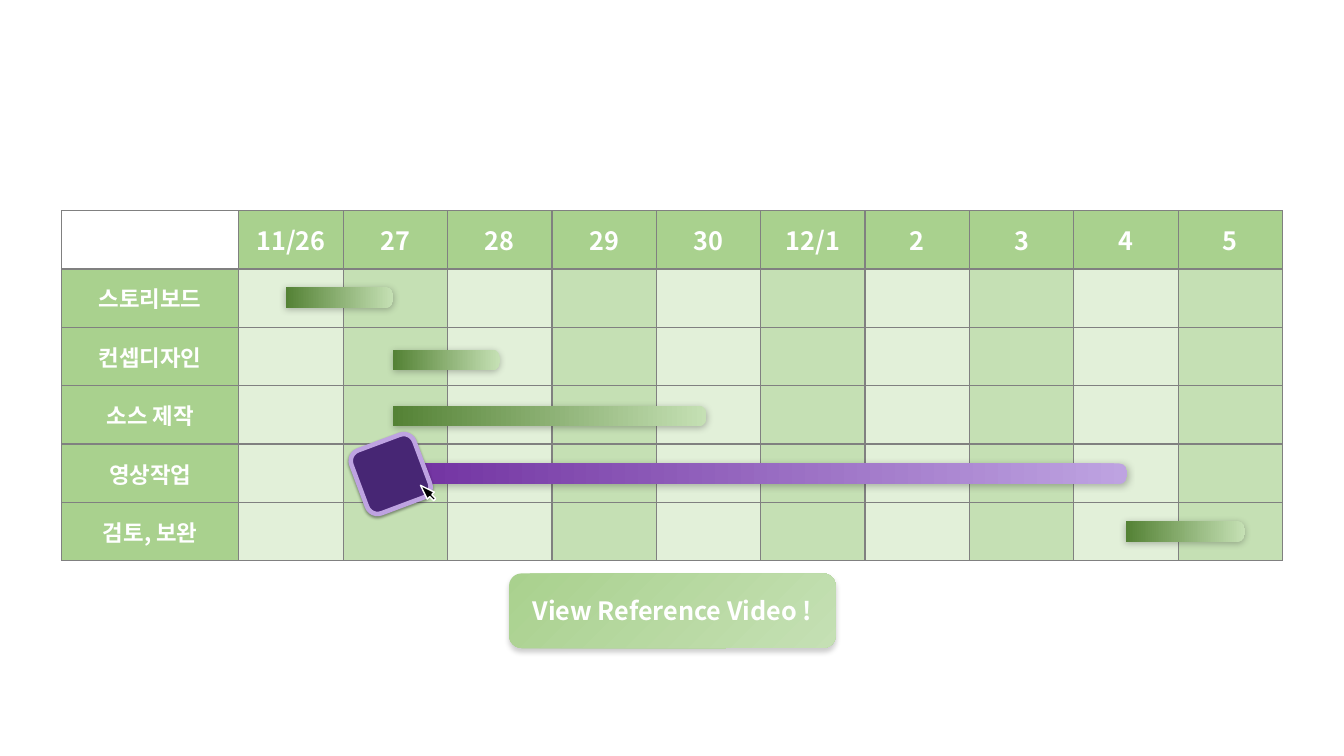
from pptx import Presentation
from pptx import util as u
from pptx.dml.color import RGBColor
from pptx.enum import shapes, text
from pptx.oxml import parse_xml
from pptx.oxml.ns import nsdecls, qn

WHITE = RGBColor(0xFF, 0xFF, 0xFF)
BLACK = RGBColor(0, 0, 0)
HEAD = RGBColor(0xA9, 0xD1, 0x8E)
MID = RGBColor(0xC5, 0xE0, 0xB4)
PALE = RGBColor(0xE2, 0xF0, 0xD9)
GREEN = RGBColor(0x54, 0x82, 0x35)
LILAC = RGBColor(0xBE, 0xA3, 0xE1)
PURPLE = RGBColor(0x70, 0x30, 0xA0)
PLUM = RGBColor(0x47, 0x26, 0x74)
GREY = RGBColor(0x80, 0x80, 0x80)
DARK = RGBColor(0x26, 0x26, 0x26)

FONT = "Noto Sans CJK KR"
LABEL, DAY, ROW, BAR = 4.47, 2.63, 1.47, 0.52
DAYS = ["11/26", "27", "28", "29", "30", "12/1", "2", "3", "4", "5"]
TASKS = ["스토리보드", "컨셉디자인", "소스 제작", "영상작업", "검토, 보완"]
SPANS = [
    (0.45, 1.48, 1.49, MID, GREEN),
    (1.48, 2.5, 2.56, MID, GREEN),
    (1.48, 4.48, 3.52, MID, GREEN),
    (1.48, 8.51, 4.51, LILAC, PURPLE),
    (8.5, 9.64, 5.5, MID, GREEN),
]


def write(frame, words, size):
    """Put one centred bold white line into a text frame."""
    frame.text = words
    para = frame.paragraphs[0]
    para.alignment = text.PP_ALIGN.CENTER
    font = para.runs[0].font
    font.name, font.size, font.bold = FONT, u.Pt(size), True
    font.color.rgb = WHITE
    font._element.append(parse_xml(f'<a:ea {nsdecls("a")} typeface="{FONT}"/>'))


def edge(cell):
    """Rule all four sides of a table cell."""
    props = cell._tc.get_or_add_tcPr()
    for spot, side in enumerate("LRTB"):
        props.insert(spot, parse_xml(
            f'<a:ln{side} {nsdecls("a")} w="12700"><a:solidFill>'
            f'<a:srgbClr val="{GREY}"/></a:solidFill></a:ln{side}>'))


def shade(shape, color, alpha, blur, dist):
    """Cast a soft shadow downwards from a shape."""
    shape.shadow.inherit = False
    glow = shape._element.spPr.find(qn("a:effectLst"))
    glow.append(parse_xml(
        f'<a:outerShdw {nsdecls("a")} blurRad="{u.Pt(blur)}" dist="{u.Pt(dist)}" '
        f'dir="5400000" algn="t" rotWithShape="0"><a:srgbClr val="{color}">'
        f'<a:alpha val="{alpha * 1000}"/></a:srgbClr></a:outerShdw>'))


def blend(shape, first, last):
    """Fill a shape with a gradient from its top to its bottom."""
    shape.fill.gradient()
    shape.fill.gradient_angle = 270
    for stop, color in zip(shape.fill.gradient_stops, (first, last)):
        stop.color.rgb = color
    shape.line.fill.background()


def add(slide, kind, left, top, wide, high):
    """Add a preset shape, measured in centimetres."""
    return slide.shapes.add_shape(kind, *map(u.Cm, (left, top, wide, high)))


def grid(slide, left, top):
    """Draw the calendar table."""
    rows, cols = len(TASKS) + 1, len(DAYS) + 1
    table = slide.shapes.add_table(
        rows, cols, u.Cm(left), u.Cm(top),
        u.Cm(LABEL + DAY * len(DAYS)), u.Cm(ROW * rows)).table
    table.first_row = table.horz_banding = False
    for c, column in enumerate(table.columns):
        column.width = u.Cm(DAY if c else LABEL)
    for r, row in enumerate(table.rows):
        row.height = u.Cm(ROW)
        for c, cell in enumerate(row.cells):
            color = (PALE if c % 2 else MID) if r and c else HEAD if r or c else WHITE
            cell.fill.solid()
            cell.fill.fore_color.rgb = color
            cell.vertical_anchor = text.MSO_ANCHOR.MIDDLE
            edge(cell)
            if color == HEAD:
                write(cell.text_frame, TASKS[r - 1] if r else DAYS[c - 1], 16 if r else 18)


def bars(slide, left, top):
    """Lay the task bars over the calendar at the given corner."""
    for start, end, row, light, deep in SPANS:
        size = (end - start) * DAY
        mid = left + LABEL + (start + end) / 2 * DAY
        bar = add(slide, shapes.MSO_SHAPE.ROUND_2_SAME_RECTANGLE,
                  mid - BAR / 2, top + row * ROW - size / 2, BAR, size)
        bar.rotation = 90
        bar.adjustments[0] = 0.371
        blend(bar, light, deep)
        shade(bar, DARK, 30, 5, 1)


def tile(slide, left, top, size):
    """Draw the tilted tile with its pointer."""
    card = add(slide, shapes.MSO_SHAPE.ROUNDED_RECTANGLE, left, top, size, size)
    card.rotation = 339.5
    card.fill.solid()
    card.fill.fore_color.rgb = PLUM
    card.line.color.rgb = LILAC
    card.line.width = u.Pt(3.25)
    shade(card, BLACK, 40, 2, 1)
    arrow = add(slide, shapes.MSO_SHAPE.RIGHT_ARROW,
                left + 0.9 * size, top + 0.7 * size, 0.51, 0.25)
    arrow.rotation = 225
    arrow.adjustments[0], arrow.adjustments[1] = 0.273, 1.473
    arrow.fill.solid()
    arrow.fill.fore_color.rgb = BLACK
    arrow.line.color.rgb = WHITE
    arrow.line.width = u.Pt(1)
    arrow.shadow.inherit = False


def button(slide, left, top, wide, high):
    """Draw the link button with light spreading from its lower right."""
    pill = add(slide, shapes.MSO_SHAPE.ROUNDED_RECTANGLE, left, top, wide, high)
    blend(pill, MID, HEAD)
    grad = pill._element.spPr.find(qn("a:gradFill"))
    grad.replace(grad.find(qn("a:lin")), parse_xml(
        f'<a:path {nsdecls("a")} path="circle"><a:fillToRect l="100000" t="100000"/></a:path>'))
    shade(pill, BLACK, 20, 4, 3)
    pill.text_frame.vertical_anchor = text.MSO_ANCHOR.MIDDLE
    write(pill.text_frame, "View Reference Video !", 18)


def main():
    """Build and save the schedule slide."""
    deck = Presentation()
    deck.slide_width, deck.slide_height = u.Cm(33.87), u.Cm(19.05)
    slide = deck.slides.add_slide(deck.slide_layouts[6])
    grid(slide, 1.55, 5.31)
    bars(slide, 1.55, 5.31)
    tile(slide, 9, 11.1, 1.69)
    button(slide, 12.83, 14.45, 8.23, 1.88)
    deck.save("out.pptx")


if __name__ == "__main__":
    main()
